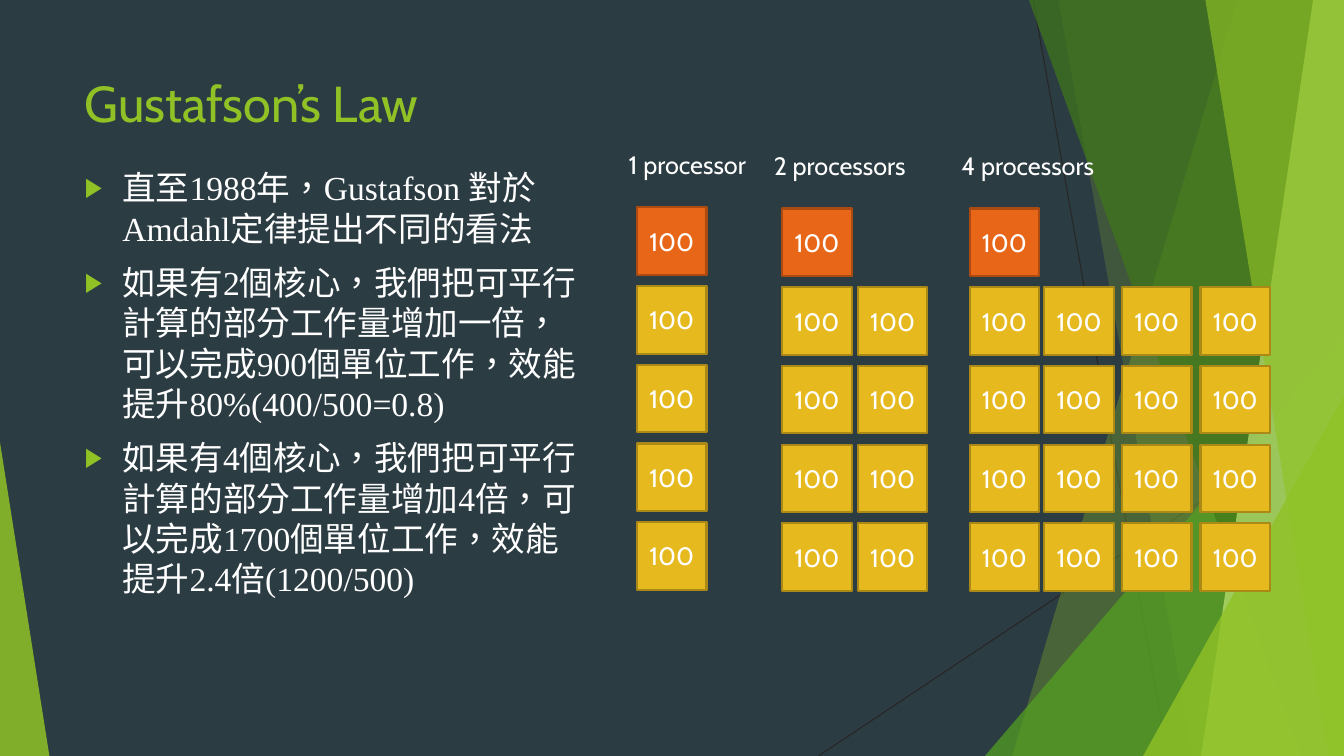
from dataclasses import dataclass

from lxml import etree
from pptx import Presentation
from pptx.dml.color import RGBColor
from pptx.enum.lang import MSO_LANGUAGE_ID
from pptx.enum.shapes import MSO_CONNECTOR, MSO_SHAPE
from pptx.enum.text import MSO_ANCHOR, PP_ALIGN
from pptx.oxml.ns import qn
from pptx.shapes.autoshape import Shape
from pptx.slide import Slide
from pptx.text.text import TextFrame, _Paragraph
from pptx.util import Pt

RECTANGLE = MSO_SHAPE.RECTANGLE
TRIANGLE = MSO_SHAPE.ISOSCELES_TRIANGLE
STRAIGHT = MSO_CONNECTOR.STRAIGHT
MIDDLE = MSO_ANCHOR.MIDDLE
CENTER = PP_ALIGN.CENTER
CHINESE = MSO_LANGUAGE_ID.TRADITIONAL_CHINESE

SLIDE_WIDTH, SLIDE_HEIGHT = 960, 540
BACKGROUND, WHITE, GREEN = "2C3C43", "FFFFFF", "90C226"
LATIN_FONT, BODY_FONT = "Cabin", "Times New Roman"
BOX_WIDTH, BOX_HEIGHT, ROW_PITCH = 49.7, 48.2, 56.2
PARALLEL_ROWS = 4


@dataclass
class Band:
    """A facet reaching from its slanted left edge to the right slide edge."""
    top_left: float
    bottom_left: float
    color: str
    opacity: int


@dataclass
class Wedge:
    """A right-angled facet standing on the bottom slide edge."""
    left: float
    top: float
    width: float
    apex: float
    color: str
    opacity: int


@dataclass
class ProcessorGroup:
    label: str
    top: float
    column_lefts: list[float]


@dataclass
class BoxStyle:
    fill: str
    line: str


SERIAL = BoxStyle("E76618", "AB4B12")
PARALLEL = BoxStyle("E6B91E", "AA8916")

RAYS = [(738, 0, 834, 540), (960, 290, 584.6, 540)]

FACETS = [
    Band(884, 723, GREEN, 30),
    Band(756, 852, GREEN, 20),
    Wedge(703.5, 240, 256.5, 1, "54A021", 72),
    Band(735, 929.5, "3F7819", 70),
    Band(938, 858, "C0E474", 70),
    Band(861, 949, GREEN, 65),
    Wedge(816.5, 283, 143.5, 1, GREEN, 80),
    Wedge(0, 316, 35.3, 0, GREEN, 85),
]

GROUPS = [
    ProcessorGroup("1 processor", 148.2, [455]),
    ProcessorGroup("2 processors", 149, [558.7, 612.7]),
    ProcessorGroup("4 processors", 149, [692.6, 746, 801.4, 857.5]),
]

BULLETS = [
    "直至1988年，Gustafson 對於Amdahl定律提出不同的看法",
    "如果有2個核心，我們把可平行計算的部分工作量增加一倍，可以完成900個單位工作，效能提升80%(400/500=0.8)",
    "如果有4個核心，我們把可平行計算的部分工作量增加4倍，可以完成1700個單位工作，效能提升2.4倍(1200/500)",
]


def rgb(color: str) -> RGBColor:
    return RGBColor.from_string(color)


def style_paragraph(paragraph: _Paragraph, size: float, name: str, color: str = WHITE) -> None:
    paragraph.font.size = Pt(size)
    paragraph.font.name = name
    paragraph.font.color.rgb = rgb(color)


def fill_facet(shape: Shape, color: str, opacity: int) -> None:
    shape.shadow.inherit = False
    shape.line.fill.background()
    shape.fill.solid()
    shape.fill.fore_color.rgb = rgb(color)
    color_element = shape.fill._xPr.find(f"{qn('a:solidFill')}/{qn('a:srgbClr')}")
    etree.SubElement(color_element, qn("a:alpha"), val=str(opacity * 1000))


def add_band(slide: Slide, band: Band) -> None:
    builder = slide.shapes.build_freeform(Pt(band.top_left), 0)
    builder.add_line_segments([
        (Pt(SLIDE_WIDTH), 0),
        (Pt(SLIDE_WIDTH), Pt(SLIDE_HEIGHT)),
        (Pt(band.bottom_left), Pt(SLIDE_HEIGHT)),
    ])
    fill_facet(builder.convert_to_shape(), band.color, band.opacity)


def add_wedge(slide: Slide, wedge: Wedge) -> None:
    shape = slide.shapes.add_shape(TRIANGLE, Pt(wedge.left), Pt(wedge.top),
                                   Pt(wedge.width), Pt(SLIDE_HEIGHT - wedge.top))
    shape.adjustments[0] = wedge.apex
    fill_facet(shape, wedge.color, wedge.opacity)


def add_ray(slide: Slide, ray: tuple[float, float, float, float]) -> None:
    connector = slide.shapes.add_connector(STRAIGHT, *map(Pt, ray))
    connector.line.color.rgb = rgb("262626")
    connector.line.width = Pt(0.75)
    etree.SubElement(connector._element.spPr, qn("a:effectLst"))


def add_text_frame(slide: Slide, left: float, top: float, width: float, height: float,
                   wrap: bool = True) -> TextFrame:
    text_box = slide.shapes.add_textbox(Pt(left), Pt(top), Pt(width), Pt(height))
    text_box.text_frame.word_wrap = wrap
    return text_box.text_frame


def add_bullet_mark(paragraph: _Paragraph) -> None:
    properties = paragraph._p.get_or_add_pPr()
    properties.set("marL", str(Pt(27)))
    properties.set("indent", str(Pt(-27)))
    bullet_color = etree.SubElement(properties, qn("a:buClr"))
    etree.SubElement(bullet_color, qn("a:srgbClr"), val=GREEN)
    etree.SubElement(properties, qn("a:buSzPct"), val="80000")
    etree.SubElement(properties, qn("a:buFont"), typeface="Arial")
    etree.SubElement(properties, qn("a:buChar"), char="▶")


def add_bullets(slide: Slide) -> None:
    frame = add_text_frame(slide, 53.3, 116, 375, 395)
    for index, text in enumerate(BULLETS):
        paragraph = frame.add_paragraph() if index else frame.paragraphs[0]
        paragraph.text = text
        add_bullet_mark(paragraph)
        if index:
            paragraph.space_before = Pt(10)
        style_paragraph(paragraph, 24, BODY_FONT)
        paragraph.runs[0].font.language_id = CHINESE


def add_work_box(slide: Slide, left: float, top: float, style: BoxStyle) -> None:
    box = slide.shapes.add_shape(RECTANGLE, Pt(left), Pt(top), Pt(BOX_WIDTH), Pt(BOX_HEIGHT))
    box.shadow.inherit = False
    box.fill.solid()
    box.fill.fore_color.rgb = rgb(style.fill)
    box.line.color.rgb = rgb(style.line)
    box.line.width = Pt(1.5)
    box.text_frame.vertical_anchor = MIDDLE
    paragraph = box.text_frame.paragraphs[0]
    paragraph.text = "100"
    paragraph.alignment = CENTER
    style_paragraph(paragraph, 18, LATIN_FONT)


def add_group(slide: Slide, group: ProcessorGroup) -> None:
    first_left = group.column_lefts[0]
    frame = add_text_frame(slide, first_left - 13, group.top - 45, 114, 29, wrap=False)
    frame.text = group.label
    style_paragraph(frame.paragraphs[0], 18, LATIN_FONT)
    add_work_box(slide, first_left, group.top, SERIAL)
    for left in group.column_lefts:
        for row in range(1, PARALLEL_ROWS + 1):
            add_work_box(slide, left, group.top + row * ROW_PITCH, PARALLEL)


def main() -> None:
    presentation = Presentation()
    presentation.slide_width = Pt(SLIDE_WIDTH)
    presentation.slide_height = Pt(SLIDE_HEIGHT)
    slide = presentation.slides.add_slide(presentation.slide_layouts[6])
    slide.background.fill.solid()
    slide.background.fill.fore_color.rgb = rgb(BACKGROUND)
    for ray in RAYS:
        add_ray(slide, ray)
    for facet in FACETS:
        if isinstance(facet, Band):
            add_band(slide, facet)
        else:
            add_wedge(slide, facet)
    title = add_text_frame(slide, 53.3, 48, 775, 104)
    title.text = "Gustafson’s Law"
    style_paragraph(title.paragraphs[0], 36, LATIN_FONT, GREEN)
    add_bullets(slide)
    for group in GROUPS:
        add_group(slide, group)
    presentation.save("out.pptx")


if __name__ == "__main__":
    main()
